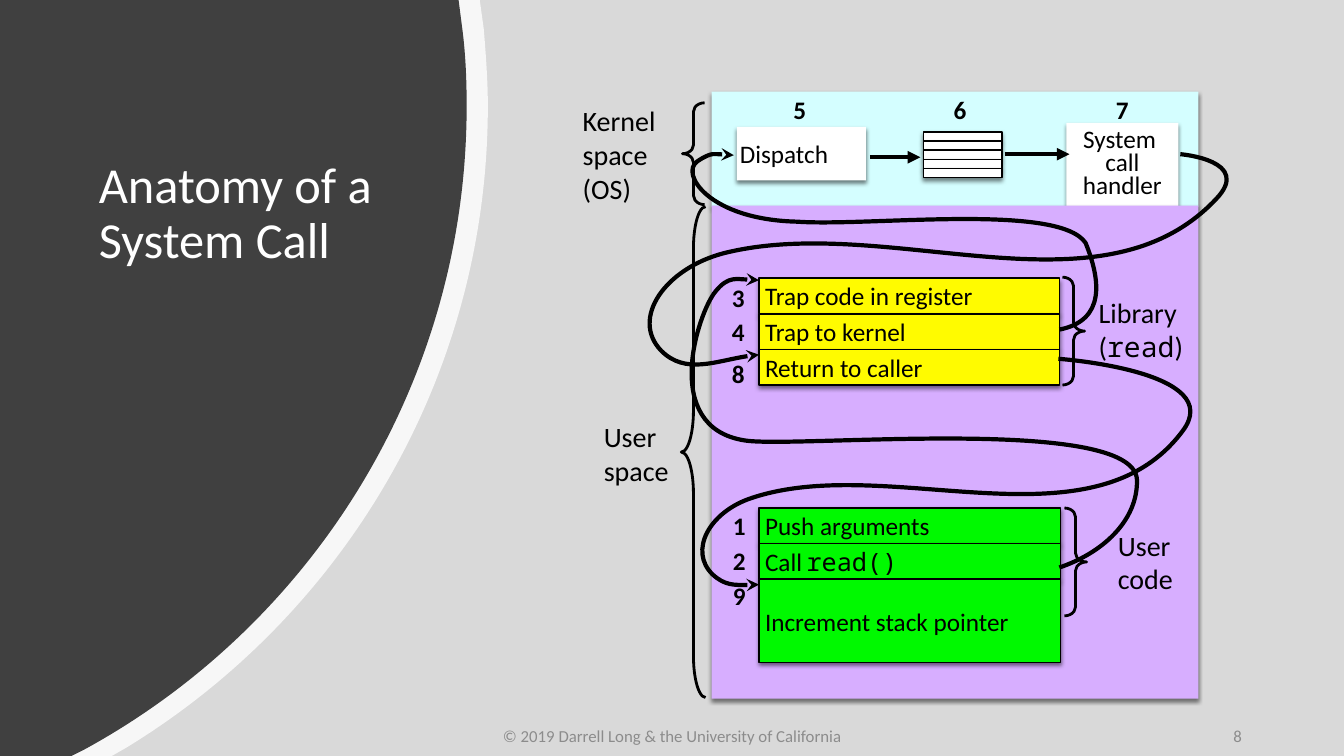
from lxml.etree import SubElement
from pptx import Presentation
from pptx.dml.color import RGBColor
from pptx.enum.shapes import MSO_CONNECTOR, MSO_SHAPE
from pptx.enum.text import MSO_ANCHOR, MSO_AUTO_SIZE, PP_ALIGN
from pptx.oxml.ns import qn
from pptx.util import Inches, Pt

SANS, MONO = "Calibri", "Noto Sans Mono"
BLACK, WHITE = "000000", "FFFFFF"
KERNEL, USER, LIBRARY, CODE = "D4FEFF", "D7AEFF", "FFFB00", "00F900"
ROW = 0.355
rgb = RGBColor.from_string


def draw(s, fill=None, line=None, width=1, shadow=False, tail=None):
    """Set fill, outline, shadow and arrowhead of a shape or connector."""
    if fill:
        s.fill.solid()
        s.fill.fore_color.rgb = rgb(fill)
    elif hasattr(s, "fill"):
        s.fill.background()
    if line:
        s.line.color.rgb = rgb(line)
        s.line.width = Pt(width)
    else:
        s.line.fill.background()
    spPr = s._element.spPr
    if tail:
        SubElement(spPr.find(qn("a:ln")), qn("a:tailEnd"), type=tail)
    effects = SubElement(spPr, qn("a:effectLst"))
    if shadow:
        outer = SubElement(effects, qn("a:outerShdw"), blurRad=str(Pt(3)),
                           dist=str(Pt(2)), dir="5400000", rotWithShape="0")
        color = SubElement(outer, qn("a:srgbClr"), val=BLACK)
        SubElement(color, qn("a:alpha"), val="50000")


def write(s, runs, size=18, inset=0.06, color=BLACK, bold=False, indent=0,
          align=PP_ALIGN.LEFT, anchor=MSO_ANCHOR.MIDDLE, spacing=None):
    """Add one paragraph of (text, font, size) runs; a newline breaks the line."""
    tf = s.text_frame
    tf.word_wrap = True
    tf.auto_size = MSO_AUTO_SIZE.NONE
    tf.vertical_anchor = anchor
    tf.margin_left = tf.margin_right = tf.margin_top = tf.margin_bottom = Inches(inset)
    p = tf.add_paragraph() if tf.text else tf.paragraphs[0]
    p.alignment = align
    if indent:
        p._p.get_or_add_pPr().set("marL", str(Inches(indent)))
    if spacing:
        p.line_spacing = spacing
    for text, font, run_size in [(runs, SANS, size)] if isinstance(runs, str) else runs:
        for i, part in enumerate(text.split("\n")):
            if i:
                p.add_line_break()
            r = p.add_run()
            r.text = part
            r.font.name, r.font.size, r.font.bold = font, Pt(run_size), bold
            r.font.color.rgb = rgb(color)


prs = Presentation()
prs.slide_width, prs.slide_height = Inches(40 / 3), Inches(7.5)
slide = prs.slides.add_slide(prs.slide_layouts[5])
shapes = slide.shapes
title = shapes.title
backdrop = shapes.add_shape(MSO_SHAPE.RECTANGLE, 0, 0, prs.slide_width, prs.slide_height)
draw(backdrop, "D9D9D9")

# Outlines: box, corners before, curve (start, then handle, handle, end), corners after, fill
outlines = [
    ((0, 0, 4.84, 7.5), [(0, 0), (4.76, 0)],
     [(4.8, .29), (4.82, .54), (4.84, .8), (4.84, 1.05),
      (4.84, 3.75), (3.4, 6.11), (1.25, 7.42)], [(1.11, 7.5), (0, 7.5)], WHITE),
    ((0, 0, 4.63, 7.5), [(0, 0), (4.55, 0)],
     [(4.59, .31), (4.62, .55), (4.63, .8), (4.63, 1.05),
      (4.63, 3.81), (3.09, 6.21), (.83, 7.44)], [(.71, 7.5), (0, 7.5)], "404040"),
    ((6.86, 2.78, 4.41, 2.85), [],
     [(10.51, 5.63), (10.93, 5.49), (11.29, 5.17), (11.28, 4.76),
      (11.25, 4.11), (7.9, 4.45), (7.39, 4.37), (6.54, 4.24), (6.93, 3.09), (7.1, 2.89),
      (7.23, 2.73), (7.53, 2.78), (7.53, 2.78)], [], None),
    ((6.87, 1.53, 4.01, 1.74), [],
     [(10.51, 3.27), (10.97, 3.18), (10.92, 2.78), (10.77, 2.41),
      (10.5, 2.01), (8.62, 2.25), (7.91, 2.2), (7.03, 2.18), (6.74, 1.72), (6.92, 1.6),
      (7.07, 1.5), (7.28, 1.54), (7.28, 1.54)], [], None),
    ((6.45, 1.53, 5.72, 2.07), [],
     [(11.71, 1.53), (11.71, 1.53), (12.44, 1.59), (12.06, 1.98),
      (10.91, 3.19), (8.82, 2.11), (7.19, 2.51), (6.6, 2.66), (6.25, 3.16), (6.56, 3.48),
      (6.8, 3.72), (7.18, 3.55), (7.53, 3.52)], [], None),
    ((6.97, 3.56, 4.85, 2.24), [],
     [(10.5, 3.56), (10.5, 3.56), (12.19, 3.68), (11.73, 4.28),
      (10.83, 5.48), (8.81, 4.49), (7.46, 4.94), (7.03, 5.08), (6.83, 5.47), (7.07, 5.7),
      (7.19, 5.81), (7.36, 5.81), (7.53, 5.8)], [], None),
]
arrows = []
for box, before, curve, after, fill in outlines:
    left, top, width, height = map(Inches, box)
    fb = shapes.build_freeform(left, top)
    fb.add_line_segments([(left + width, top + height)], close=False)
    s = fb.convert_to_shape()
    path = s._element.spPr.find(".//" + qn("a:path"))
    for step in list(path):
        path.remove(step)
    corners = [[point] for point in before + curve[:1]]
    bends = [curve[k:k + 3] for k in range(1, len(curve), 3)]
    for i, points in enumerate(corners + bends + [[point] for point in after]):
        kind = "a:moveTo" if i == 0 else "a:cubicBezTo" if len(points) == 3 else "a:lnTo"
        step = SubElement(path, qn(kind))
        for x, y in points:
            SubElement(step, qn("a:pt"), x=str(Inches(x) - left), y=str(Inches(y) - top))
    if fill:
        SubElement(path, qn("a:close"))
        draw(s, fill)
    else:
        draw(s, line=BLACK, width=3, tail="stealth")
        arrows.append(s)
    if fill == WHITE:
        color = s._element.spPr.find(qn("a:solidFill")).find(qn("a:srgbClr"))
        SubElement(color, qn("a:alpha"), val="80000")

title.left, title.top, title.width, title.height = map(Inches, (.88, 1.54, 3.14, 2.36))
write(title, "Anatomy of a System Call", 36, .05, WHITE, anchor=MSO_ANCHOR.TOP, spacing=.9)
title.text_frame.margin_left = title.text_frame.margin_right = Inches(.1)
shapes._spTree.append(title._element)

# Boxes: left, top, width, height, fill, line, inset, text
call = [("Call", SANS, 18), (" ", SANS, 14), ("read()", MONO, 18)]
boxes = [(7.06, .91, 4.83, 1.14, KERNEL, None, 0, ""),
         (10.58, 1.22, 1.11, .83, WHITE, None, .01, "System "),
         (7.06, 2.04, 4.83, 4.89, USER, None, 0, ""),
         (7.31, 1.26, 1.28, .53, WHITE, None, .03, "Dispatch")]
for i, text in enumerate(["Trap code in register", "Trap to kernel", "Return to caller"]):
    boxes.append((7.53, 2.76 + i * ROW, 2.98, .35, LIBRARY, BLACK, .06, text))
for i, (text, height) in enumerate([("Push arguments", .35), (call, .35),
                                    ("Increment stack pointer", .82)]):
    boxes.append((7.53, 5.04 + i * ROW, 2.99, height, CODE, BLACK, .06, text))
for i in range(5):
    boxes.append((9.16, 1.31 + i * .09, .78, .09, WHITE, BLACK, 0, ""))
for x, y, w, h, fill, line, inset, text in boxes:
    s = shapes.add_shape(MSO_SHAPE.RECTANGLE, *map(Inches, (x, y, w, h)))
    draw(s, fill, line, shadow=True)
    if text == "System ":
        for part in (text, "call handler"):
            write(s, part, inset=inset, align=PP_ALIGN.CENTER, spacing=.75)
    elif text:
        write(s, text, inset=inset)

# Braces
for kind, x, y, w, h, bend in [(MSO_SHAPE.LEFT_BRACE, 6.77, 1.02, .22, 1.01, .4),
                               (MSO_SHAPE.LEFT_BRACE, 6.76, 2.05, .24, 4.87, 1.71),
                               (MSO_SHAPE.RIGHT_BRACE, 10.54, 2.75, .22, 1.07, .4),
                               (MSO_SHAPE.RIGHT_BRACE, 10.56, 5.04, .22, 1.07, .4)]:
    s = shapes.add_shape(kind, *map(Inches, (x, y, w, h)))
    s.adjustments[0] = bend
    draw(s, line=BLACK, width=2)

# Arrows
for x1, x2, y in [(8.63, 9.13, 1.56), (9.97, 10.61, 1.53)]:
    s = shapes.add_connector(MSO_CONNECTOR.STRAIGHT, *map(Inches, (x1, y, x2, y)))
    draw(s, line=BLACK, width=3, tail="triangle")
for s in arrows:
    shapes._spTree.append(s._element)

# Labels, step numbers and footer
library = [("Library\n(", SANS, 20), ("read", MONO, 20), (")", SANS, 20)]
labels = [(5.72, .85, 1.09, 1.36, "Kernel\nspace\n(OS)", {"size": 20}),
          (5.93, 4.02, .99, .95, "User\nspace", {"size": 20}),
          (10.77, 2.79, 1.43, .95, library, {"indent": .07}),
          (10.96, 5.1, .95, .95, "User\ncode", {"size": 20, "indent": .07})]
for number, x, y in [("5", 7.81, .84), ("6", 9.4, .84), ("7", 11.01, .84),
                     ("3", 7.2, 2.7), ("4", 7.2, 3.04), ("8", 7.2, 3.45),
                     ("1", 7.21, 4.96), ("2", 7.21, 5.31), ("9", 7.21, 5.66)]:
    labels.append((x, y, .31, .5, number, {"bold": True}))
footer = {"size": 12, "inset": .1, "color": "8C8C8C"}
labels += [(4.42, 7.1, 4.5, .4, "© 2019 Darrell Long & the University of California",
            {**footer, "align": PP_ALIGN.CENTER}),
           (9.42, 7.1, 3, .4, "8", {**footer, "align": PP_ALIGN.RIGHT})]
for x, y, w, h, text, style in labels:
    write(shapes.add_textbox(*map(Inches, (x, y, w, h))), text, **style)

prs.save("out.pptx")
